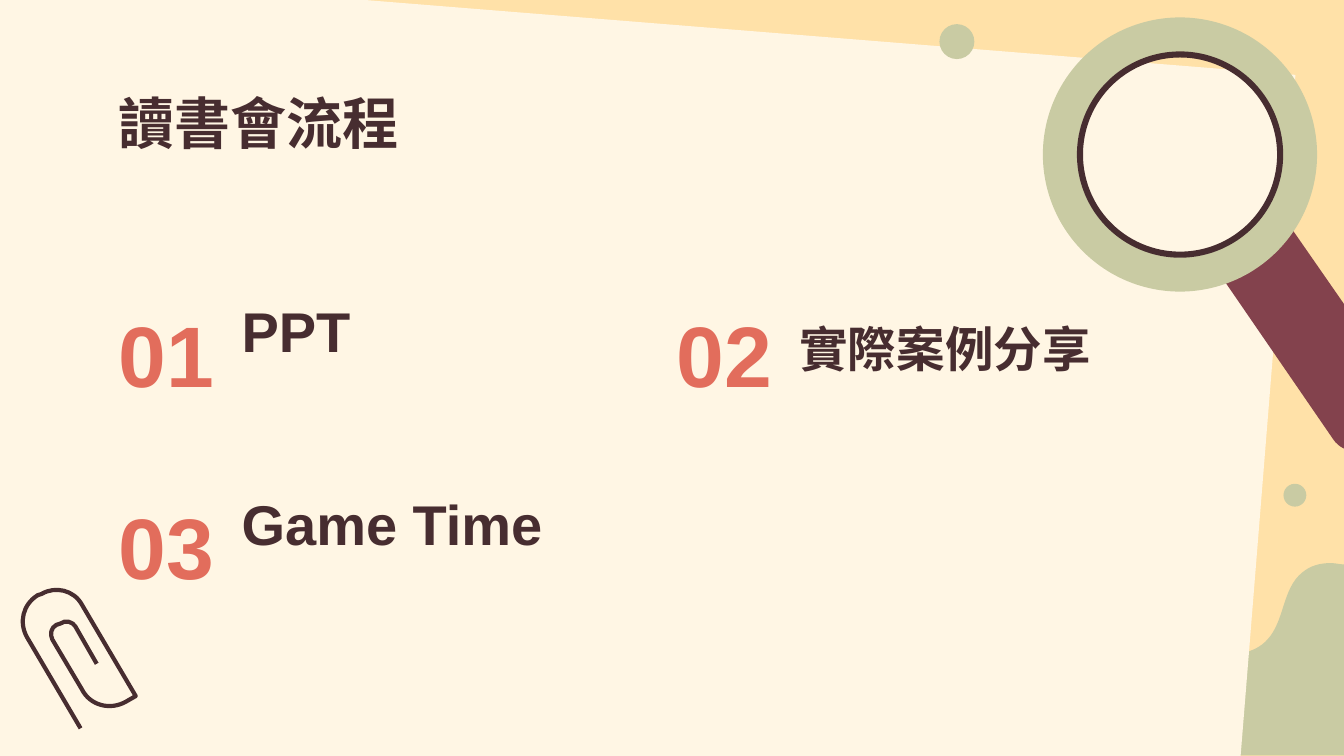
from pptx import Presentation, util as u
from pptx.dml.color import RGBColor
from pptx.enum import shapes as sh, text as tx
from pptx.oxml import ns

WIDTH, HEIGHT = 10, 10 * 9 / 16
SAND, CREAM, SAGE = "FFE1A8", "FFF6E4", "C9CBA3"
BROWN, CORAL, WINE = "472D30", "E26D5C", "83424D"

# Outlines in hundredths of an inch from the corner of their region;
# pairs are line ends, sextuples are curves.
HILL = [(156, 0), (148, 0, 141, 2, 135, 7), (120, 19, 122, 43, 109, 57),
        (100, 67, 85, 69, 70, 69), (68, 69, 67, 69, 65, 69),
        (61, 69, 58, 69, 54, 69), (42, 69, 29, 70, 19, 78),
        (13, 82, 9, 89, 6, 96), (0, 111, 1, 129, 8, 143),
        (166, 143), (166, 1), (163, 1, 160, 0, 156, 0)]
CLIP = [(45, 106), (5, 38), (-1, 27, 2, 14, 13, 7), (16, 6),
        (26, 0, 40, 3, 46, 14), (86, 82), (79, 86),
        (67, 93, 52, 89, 46, 77), (24, 40), (22, 36, 23, 31, 27, 29),
        (30, 28), (34, 25, 39, 27, 41, 30), (57, 58)]
HANDLE = [(178, 147), (269, 278), (275, 287, 273, 300, 264, 306), (244, 320),
          (241, 322, 237, 323, 233, 323), (227, 323, 220, 320, 216, 314),
          (126, 183)]


def color(hex_value):
    return RGBColor.from_string(hex_value)


def paint(shape, fill=None, line=None, weight=2.25):
    shape.shadow.inherit = False
    if fill:
        shape.fill.solid()
        shape.fill.fore_color.rgb = color(fill)
    else:
        shape.fill.background()
    if line:
        shape.line.color.rgb = color(line)
        shape.line.width = u.Pt(weight)
    else:
        shape.line.fill.background()
    return shape


def preset(slide, kind, box, **look):
    shape = slide.shapes.add_shape(kind, *map(u.Inches, box))
    return paint(shape, **look)


def freeform(slide, outline, left, top, close=True, **look):
    points = [(u.Inches(left + part[i] / 100), u.Inches(top + part[i + 1] / 100))
              for part in outline for i in range(0, len(part), 2)]
    builder = slide.shapes.build_freeform(*points[0], scale=1)
    builder.add_line_segments(points[1:], close=close)
    shape = builder.convert_to_shape()
    # Each curve takes the points of three line segments.
    segments = iter(list(shape._element.iter(ns.qn("a:lnTo"))))
    for part in outline[1:]:
        first = next(segments)
        if len(part) == 6:
            curve = first.makeelement(ns.qn("a:cubicBezTo"))
            first.addprevious(curve)
            for segment in (first, next(segments), next(segments)):
                curve.append(segment[0])
                segment.getparent().remove(segment)
    return paint(shape, **look)


def write(shape, words, size, hex_value, anchor, align=tx.PP_ALIGN.LEFT):
    frame = shape.text_frame
    frame.text = words
    frame.word_wrap = True
    frame.auto_size = tx.MSO_AUTO_SIZE.NONE
    frame.vertical_anchor = anchor
    frame.margin_left = frame.margin_right = u.Inches(0.1)
    frame.margin_top = frame.margin_bottom = u.Inches(0.1)
    paragraph = frame.paragraphs[0]
    paragraph.alignment = align
    font = paragraph.runs[0].font
    font.name, font.size, font.bold = "Arial", u.Pt(size), True
    font.color.rgb = color(hex_value)


def backdrop(slide):
    """Tilted paper on sand, with a hill and two dots."""
    slide.background.fill.solid()
    slide.background.fill.fore_color.rgb = color(SAND)
    oval, rectangle = sh.MSO_SHAPE.OVAL, sh.MSO_SHAPE.RECTANGLE
    preset(slide, oval, (9.55, 3.6, 0.17, 0.17), fill=SAGE)
    freeform(slide, HILL, 8.34, 4.19, fill=SAGE)
    paper = preset(slide, rectangle, (-0.26, 0.16, 9.68, 5.86), fill=CREAM)
    paper.rotation = 4.6
    preset(slide, oval, (6.99, 0.18, 0.26, 0.26), fill=SAGE)


def heading(slide, words, box):
    title = slide.shapes.title
    title.left, title.top, title.width, title.height = map(u.Inches, box)
    write(title, words, 30, BROWN, tx.MSO_ANCHOR.MIDDLE)
    slide.shapes._spTree.append(title._element)  # in front of the paper


def agenda_item(slide, left, top, number, topic, size, drop):
    """Large number, with its topic lowered by drop to the right."""
    number_width = 0.92
    topic_box = (left + number_width, top + drop, 3.13, 0.54)
    number_box = (left, top, number_width, 1.1)
    label = slide.shapes.add_textbox(*map(u.Inches, topic_box))
    write(label, topic, size, BROWN, tx.MSO_ANCHOR.BOTTOM)
    figure = slide.shapes.add_textbox(*map(u.Inches, number_box))
    write(figure, f"{number:02}", 46, CORAL, tx.MSO_ANCHOR.MIDDLE,
          tx.PP_ALIGN.CENTER)


def agenda(slide, items, left, top, column=4.15, row=1.43):
    for index, (topic, size, drop) in enumerate(items):
        agenda_item(slide, left + index % 2 * column, top + index // 2 * row,
                    index + 1, topic, size, drop)


def magnifier(slide, left, top, diameter):
    freeform(slide, HANDLE, left, top, fill=WINE)
    frame = preset(slide, sh.MSO_SHAPE.DONUT,
                   (left, top, diameter, diameter), fill=SAGE)
    frame.adjustments[0] = 0.125
    rim = diameter * 0.73
    inset = (diameter - rim) / 2
    preset(slide, sh.MSO_SHAPE.OVAL, (left + inset, top + inset, rim, rim),
           line=BROWN, weight=3.25)


def main():
    deck = Presentation()
    deck.slide_width, deck.slide_height = u.Inches(WIDTH), u.Inches(HEIGHT)
    slide = deck.slides.add_slide(deck.slide_layouts.get_by_name("Title Only"))
    backdrop(slide)
    heading(slide, "讀書會流程", (0.78, 0.59, 8.44, 0.63))
    agenda(slide, [("PPT", 30, 0.19), ("實際案例分享", 26, 0.29),
                   ("Game Time", 30, 0.19)], 0.78, 2.08)
    freeform(slide, CLIP, 0.15, 4.36, close=False, line=BROWN)
    magnifier(slide, 7.76, 0.13, 2.04)
    deck.save("out.pptx")


if __name__ == "__main__":
    main()
